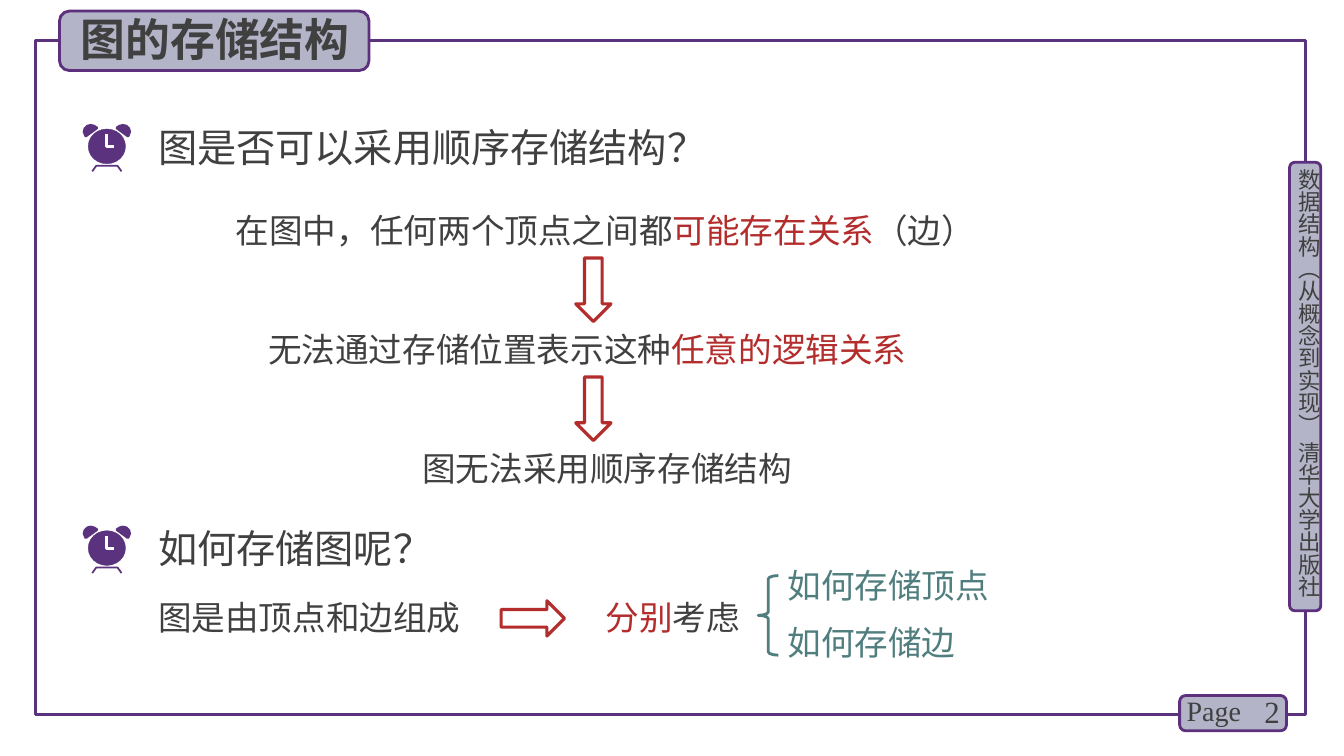
from dataclasses import dataclass
from typing import Any

from lxml.etree import SubElement as Sub
from pptx import Presentation
from pptx.dml.color import RGBColor
from pptx.enum.shapes import MSO_SHAPE as Kind
from pptx.enum.text import MSO_ANCHOR as Anchor, MSO_AUTO_SIZE as Fit, PP_ALIGN as Align
from pptx.oxml.ns import qn
from pptx.util import Inches, Pt

# The slide is a grid of square cells, 75 rows high
WIDE, ROWS = Inches(13.33), 75
HIGH = Inches(7.5)
CELL = HIGH / ROWS

PURPLE = RGBColor(0x5A, 0x32, 0x7D)
EDGE = RGBColor(0x5C, 0x30, 0x7D)
LILAC = RGBColor(0xB4, 0xB4, 0xC8)
INK = RGBColor(0x40, 0x40, 0x40)
RED = RGBColor(0xB4, 0x2D, 0x2D)
TEAL = RGBColor(0x50, 0x7D, 0x7D)
WHITE = RGBColor(0xFF, 0xFF, 0xFF)

HAN, ROMAN = "Noto Sans CJK SC", "Times New Roman"
Area = tuple[float, float, float, float]
Spot = tuple[float, float]
Words = list[tuple[str, RGBColor]]


@dataclass
class Form:
    """An outlined preset shape; area is left, top, width, height in cells."""
    kind: Kind
    area: Area
    line: RGBColor
    width: float
    fill: RGBColor | None = None
    turn: int = 0


@dataclass
class Note:
    """A text box; each item of lines is one paragraph of coloured runs."""
    area: Area
    lines: list[Words]
    size: int = 24
    face: str = ROMAN
    bold: bool = False
    align: Align = Align.LEFT
    anchor: Anchor = Anchor.TOP


def tab(*area: float) -> Form:
    return Form(Kind.ROUNDED_RECTANGLE, area, EDGE, 2, LILAC)


def arrow(left: float, top: float, turn: int = 0) -> Form:
    return Form(Kind.RIGHT_ARROW, (left, top, 6.3, 3.5), RED, 2.25, turn=turn)


FRAME = [
    Form(Kind.RECTANGLE, (3.5, 4, 126, 66.9), PURPLE, 2.25),
    tab(127.9, 16.1, 3.1, 44.5),
    tab(117, 69, 10.6, 3.5),
    tab(5.9, 1.1, 30.7, 5.9),
]
MARKS = [
    arrow(55.7, 27, 90),
    arrow(55.7, 38.8, 90),
    arrow(49.7, 59.6),
    Form(Kind.LEFT_BRACE, (75.2, 57.1, 2, 7.9), TEAL, 2),
]
SPINE = Note((128.5, 16.7, 2.7, 44.9),
             [[("数据结构（从概念到实现） 清华大学出版社", INK)]], 16, HAN)
TITLE = Note((7, 0.7, 30.9, 6.4), [[("图的存储结构", INK)]], 32, HAN, True)
LIST = Note((77.1, 55.5, 24.6, 11.1), [[("如何存储顶点", TEAL)], [("如何存储边", TEAL)]])
NOTES = [
    Note((122, 68.6, 5.9, 4), [[("2", INK)]], 22, align=Align.RIGHT, anchor=Anchor.MIDDLE),
    Note((116.7, 68.3, 7.8, 4.4), [[("Page", INK)]], 20),
    Note((14.7, 11.7, 93.2, 5.7), [[("图是否可以采用顺序存储结构？", INK)]], 28),
    Note((22.4, 20.3, 79.5, 5), [[("在图中，任何两个顶点之间都", INK),
                                  ("可能存在关系", RED), ("（边）", INK)]]),
    Note((25.6, 32.1, 68.9, 5), [[("无法通过存储位置表示这种", INK), ("任意的逻辑关系", RED)]]),
    Note((40.9, 43.9, 42.5, 5), [[("图无法采用顺序存储结构", INK)]]),
    Note((14.7, 51.5, 93.2, 5.7), [[("如何存储图呢？", INK)]], 28),
    Note((14.7, 58.7, 32.7, 5), [[("图是由顶点和边组成", INK)]]),
    Note((59.1, 58.7, 16.8, 5), [[("分别", RED), ("考虑", INK)]]),
]
CLOCKS = [(8.2, 12.3), (8.2, 52.15)]
EAR = [(0.4, 1.3), (0.2, 1.3), (0, 0.8), (0.1, 0.4), (0.4, 0.1),
       (0.8, 0), (1.2, 0.1), (1.5, 0.3), (1.5, 0.5)]
FEET = [(0.95, 4.7), (1.35, 4.15), (3.45, 4.15), (3.85, 4.7)]
HANDS = [(2.4, 1), (2.4, 2.25), (3.1, 2.25)]


def cells(*nums: float) -> list[int]:
    return [round(num * CELL) for num in nums]


def apply(thing: Any, look: dict[str, Any]) -> None:
    for key, value in look.items():
        setattr(thing, key, value)


def draw(shapes: Any, form: Form) -> None:
    shape = shapes.add_shape(form.kind, *cells(*form.area))
    shape.shadow.inherit = False
    shape.rotation = form.turn
    if form.fill is None:
        shape.fill.background()
    else:
        shape.fill.solid()
        shape.fill.fore_color.rgb = form.fill
    shape.line.color.rgb = form.line
    shape.line.width = Pt(form.width)
    if form.kind == Kind.LEFT_BRACE:
        shape.adjustments[0] = 0.17


def write(box: Any, note: Note) -> None:
    """Place the box and fill it with the runs of the note."""
    left, top, width, height = cells(*note.area)
    apply(box, {"left": left, "top": top, "width": width, "height": height})
    frame = box.text_frame
    apply(frame, {"word_wrap": True, "auto_size": Fit.NONE, "vertical_anchor": note.anchor})
    for row, words in enumerate(note.lines):
        para = frame.add_paragraph() if row else frame.paragraphs[0]
        props = para._p.get_or_add_pPr()
        apply(para, {"alignment": note.align, "space_before": Pt(note.size / 2 if row else 0)})
        if box.is_placeholder:
            props.set("marL", "0")
            props.set("indent", "0")
            Sub(props, qn("a:buNone"))
        for text, color in words:
            run = para.add_run()
            run.text = text
            apply(run.font, {"size": Pt(note.size), "name": note.face, "bold": note.bold})
            run.font.color.rgb = color
            Sub(run._r.get_or_add_rPr(), qn("a:ea"), typeface=HAN)


def add_note(shapes: Any, note: Note) -> Any:
    box = shapes.add_textbox(*cells(*note.area))
    write(box, note)
    return box


def trace(shapes: Any, spots: list[Spot], color: RGBColor, width: float = 0) -> None:
    """Draw a filled outline, or an open line when a width is given."""
    start, *rest = [cells(*spot) for spot in spots]
    pen = shapes.build_freeform(*start)
    pen.add_line_segments(rest, close=not width)
    shape = pen.convert_to_shape()
    shape.shadow.inherit = False
    if width:
        shape.fill.background()
        shape.line.color.rgb = color
        shape.line.width = Pt(width)
    else:
        shape.fill.solid()
        shape.fill.fore_color.rgb = color
        shape.line.fill.background()


def add_clock(shapes: Any, left: float, top: float) -> None:
    def move(spots: list[Spot]) -> list[Spot]:
        return [(left + x, top + y) for x, y in spots]

    trace(shapes, move(FEET), PURPLE, 1.25)
    trace(shapes, move(EAR), PURPLE)
    trace(shapes, move([(4.8 - x, y) for x, y in EAR]), PURPLE)
    draw(shapes, Form(Kind.OVAL, (left + 0.55, top + 0.5, 3.7, 3.45), PURPLE, 0.25, PURPLE))
    trace(shapes, move(HANDS), WHITE, 2)


def main() -> None:
    deck = Presentation()
    apply(deck, {"slide_width": WIDE, "slide_height": HIGH})
    shapes = deck.slides.add_slide(deck.slide_layouts[1]).shapes
    title, body = shapes.placeholders
    for form in FRAME:
        draw(shapes, form)
    for box, note in ((title, TITLE), (body, LIST)):
        write(box, note)
        box.element.getparent().append(box.element)  # bring to front
    spine = add_note(shapes, SPINE).text_frame
    sides = ("left", "top", "right", "bottom")
    apply(spine, {f"margin_{side}": 0 for side in sides})
    spine._txBody.bodyPr.set("vert", "eaVert")
    for note in NOTES:
        add_note(shapes, note)
    for form in MARKS:
        draw(shapes, form)
    for spot in CLOCKS:
        add_clock(shapes, *spot)
    deck.save("out.pptx")


if __name__ == "__main__":
    main()
